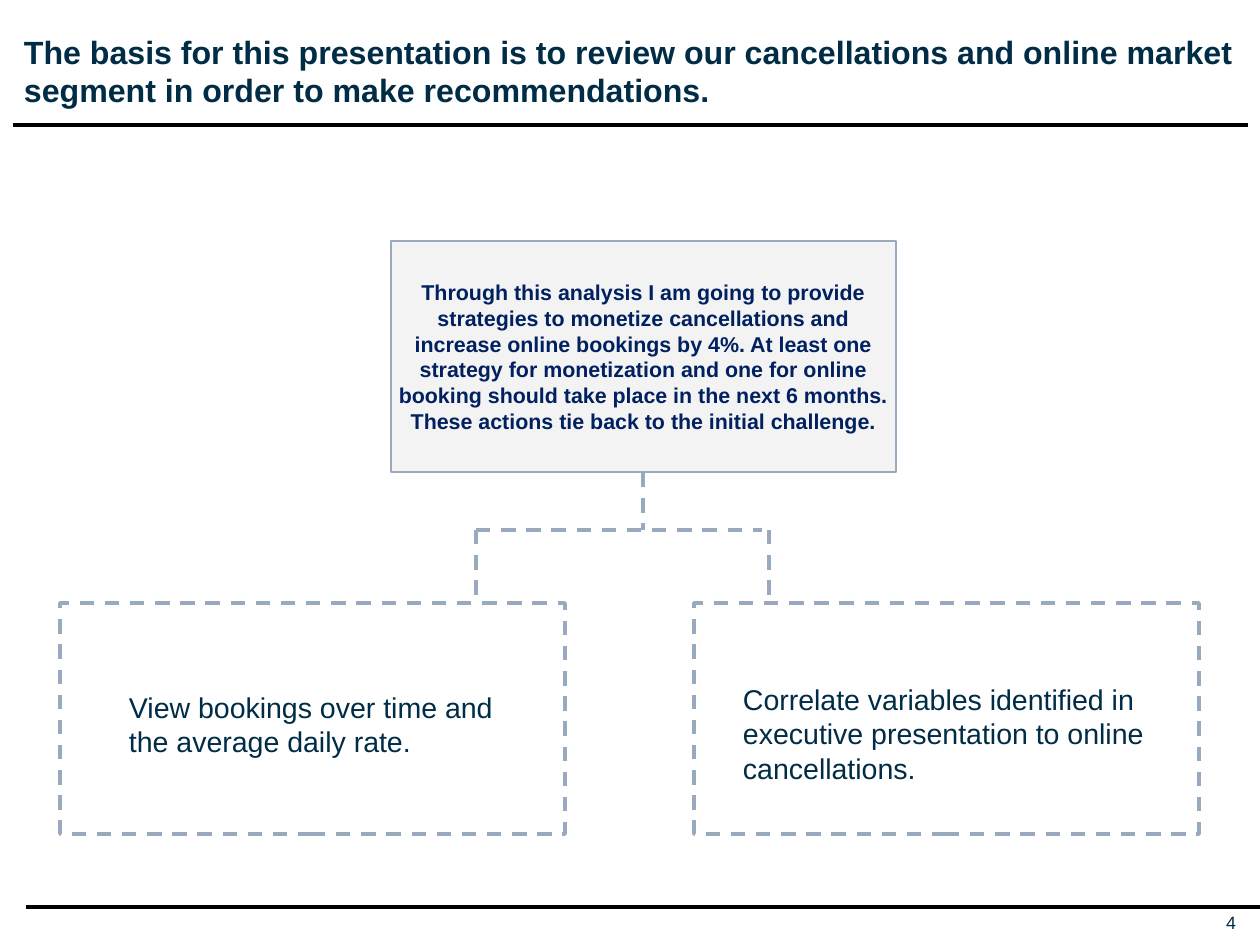
from lxml import etree
from pptx import Presentation
from pptx.dml.color import RGBColor
from pptx.enum.dml import MSO_LINE
from pptx.enum.shapes import MSO_CONNECTOR, MSO_SHAPE
from pptx.enum.text import MSO_ANCHOR, PP_ALIGN
from pptx.oxml.ns import qn
from pptx.util import Pt

RECTANGLE, STRAIGHT = MSO_SHAPE.RECTANGLE, MSO_CONNECTOR.STRAIGHT
DASH = MSO_LINE.DASH
TOP, MIDDLE = MSO_ANCHOR.TOP, MSO_ANCHOR.MIDDLE
LEFT, CENTER, RIGHT = PP_ALIGN.LEFT, PP_ALIGN.CENTER, PP_ALIGN.RIGHT

PX = 7112
PAGE_SIZE = (1260, 945)
BOX_SIZE = (505, 231)
NAVY, BLUE, STEEL, PALE, BLACK = "002C46", "002060", "99AABE", "F2F2F2", "000000"

TITLE = ("The basis for this presentation is to review our cancellations and online "
         "market segment in order to make recommendations.")
GOAL = ("Through this analysis I am going to provide strategies to monetize cancellations "
        "and increase online bookings by 4%. At least one strategy for monetization and one "
        "for online booking should take place in the next 6 months. These actions tie back "
        "to the initial challenge.")
GOAL_AT = (391, 241)
STEPS = [
    {"text": "View bookings over time and the average daily rate.",
     "box_left": 60, "branch": 476, "text_at": (116, 684, 433, 82)},
    {"text": "Correlate variables identified in executive presentation to online cancellations.",
     "box_left": 694, "branch": 769, "text_at": (730, 676, 433, 117)},
]
STEP_TOP = 603
FORK_Y = 530
FORK_RIGHT = 762
RULES = [(13, 125, 1248, 125), (26, 907, 1260, 907)]


def px(*lengths):
    return [length * PX for length in lengths]


def color(code):
    return RGBColor.from_string(code)


def style_line(line, code, width, dashed):
    line.color.rgb = color(code)
    line.width = Pt(width)
    if dashed:
        line.dash_style = DASH


def write(shape, text, size, code, bold=False, align=LEFT, anchor=TOP, inset=(0, 0)):
    frame = shape.text_frame
    frame.word_wrap = True
    frame.vertical_anchor = anchor
    frame.margin_left = frame.margin_right = inset[0] * PX
    frame.margin_top = frame.margin_bottom = inset[1] * PX
    para = frame.paragraphs[0]
    para.text = text
    para.alignment = align
    para.font.name = "Arial"
    para.font.size = Pt(size)
    para.font.bold = bold
    para.font.color.rgb = color(code)


def add_text(page, place, text, size, code, **options):
    write(page.shapes.add_textbox(*px(*place)), text, size, code, **options)


def add_line(page, ends, code, dashed=False):
    line = page.shapes.add_connector(STRAIGHT, *px(*ends))
    style_line(line.line, code, 2, dashed)
    etree.SubElement(line._element.spPr, qn("a:effectLst"))


def add_box(page, left, top, width, dashed=False):
    box = page.shapes.add_shape(RECTANGLE, *px(left, top, *BOX_SIZE))
    box.shadow.inherit = False
    box.fill.background()
    style_line(box.line, STEEL, width, dashed)
    return box


def add_goal(page):
    box = add_box(page, *GOAL_AT, 0.75)
    box.fill.solid()
    box.fill.fore_color.rgb = color(PALE)
    tint = box._element.spPr.find(qn("a:solidFill"))[0]
    etree.SubElement(tint, qn("a:alpha"), val="85000")
    write(box, GOAL, 12, BLUE, bold=True, align=CENTER, anchor=MIDDLE, inset=(4, 0))


def add_tree(page):
    add_goal(page)
    stem = GOAL_AT[0] + BOX_SIZE[0] // 2
    add_line(page, (stem, GOAL_AT[1] + BOX_SIZE[1] + 1, stem, FORK_Y), STEEL, True)
    add_line(page, (STEPS[0]["branch"], FORK_Y, FORK_RIGHT, FORK_Y), STEEL, True)
    for step in STEPS:
        add_box(page, step["box_left"], STEP_TOP, 2, True)
        add_line(page, (step["branch"], FORK_Y, step["branch"], STEP_TOP), STEEL, True)
        add_text(page, step["text_at"], step["text"], 16, NAVY, inset=(13, 6))


def main():
    deck = Presentation()
    deck.slide_width, deck.slide_height = px(*PAGE_SIZE)
    page = deck.slides.add_slide(deck.slide_layouts[6])
    for ends in RULES:
        add_line(page, ends, BLACK)
    add_text(page, (24, 32, 1212, 78), TITLE, 18, NAVY, bold=True)
    add_text(page, (1214, 911, 22, 22), "4", 10, NAVY, align=RIGHT, anchor=MIDDLE)
    add_tree(page)
    deck.save("out.pptx")


if __name__ == "__main__":
    main()
